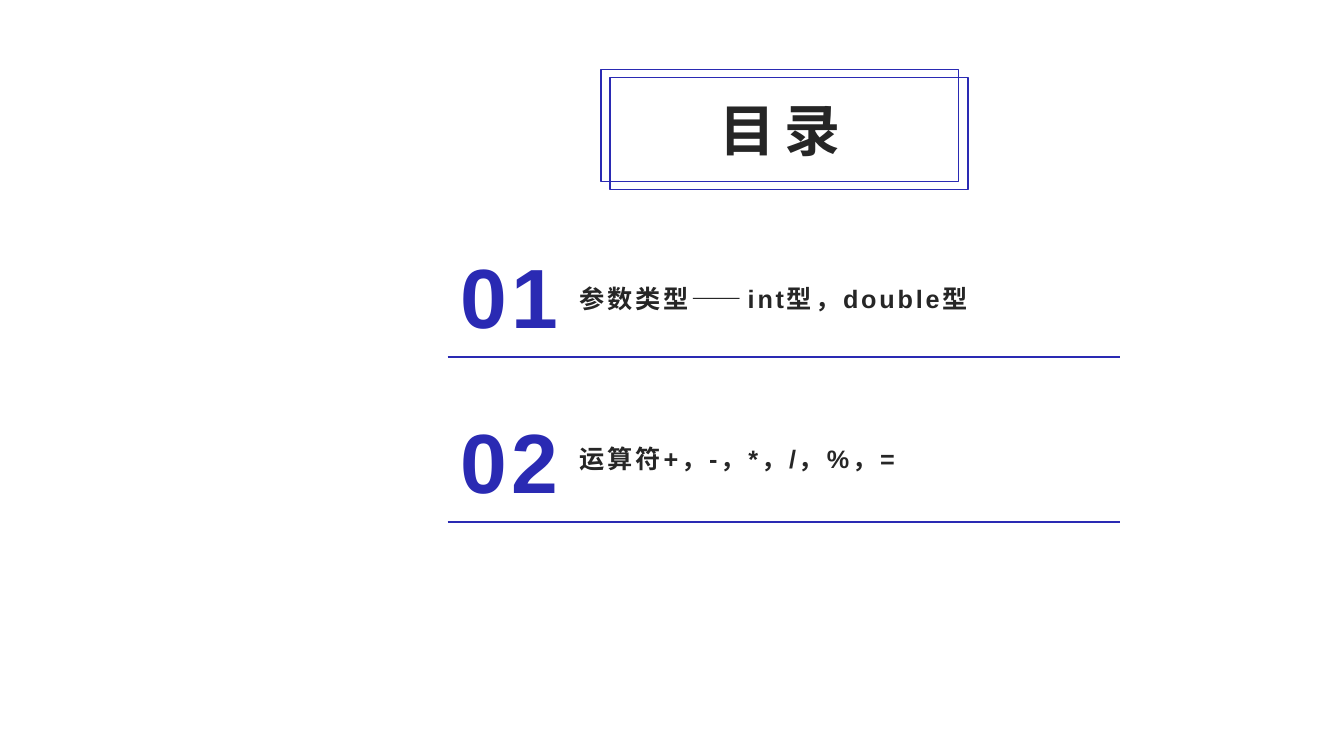
from lxml.etree import SubElement
from pptx import Presentation
from pptx.dml.color import RGBColor
from pptx.enum.shapes import MSO_CONNECTOR as Conn, MSO_SHAPE as Shape
from pptx.enum.text import MSO_ANCHOR as Anchor, PP_ALIGN as Align
from pptx.oxml.ns import qn
from pptx.util import Inches, Pt

BLUE = RGBColor(0x2A, 0x2A, 0xB3)
DARK = RGBColor(0x26, 0x26, 0x26)

deck = Presentation()
deck.slide_width, deck.slide_height = Inches(13.33), Inches(7.5)
slide = deck.slides.add_slide(deck.slide_layouts[6])
shapes = slide.shapes


def add_text(text, box, size, color=DARK, gap=2, align=Align.LEFT,
             anchor=Anchor.MIDDLE, wrap=True, lead=1.0, foot=0.05):
    """Add bold text; box is in inches, gap is letter spacing in points."""
    frame = shapes.add_textbox(*map(Inches, box)).text_frame
    frame.word_wrap = wrap
    frame.vertical_anchor = anchor
    frame.margin_bottom = Inches(foot)
    para = frame.paragraphs[0]
    para.alignment = align
    para.line_spacing = lead
    run = para.add_run()
    run.text = text
    font = run.font
    font.name, font.size, font.bold = "Arial", Pt(size), True
    font.color.rgb = color
    run._r.get_or_add_rPr().set("spc", str(gap * 100))


# Title with two offset frames
add_text("目录", (6.51, 0.9, 2.45, 0.77), 40, gap=6, align=Align.CENTER)
for x, y in ((5.96, 0.69), (6.05, 0.77)):
    frame = shapes.add_shape(Shape.RECTANGLE, *map(Inches, (x, y, 3.55, 1.11)))
    frame.shadow.inherit = False
    frame.fill.background()
    frame.line.color.rgb = BLUE
    frame.line.width = Pt(1)

# Agenda rows: label, number and rule
LEFT, RIGHT, TOP, STEP = 4.44, 11.11, 2.37, 1.64
NUM_W, NUM_H = 1.22, 1.11
items = (
    ("参数类型——int型，double型", 0.38, 1.1),
    ("运算符+，-，*，/，%，=", 0.33, 1.2),
)
for i, (label, drop, lead) in enumerate(items):
    top = TOP + i * STEP
    add_text(label, (5.65, top + drop, 5.42, 0.36), 18,
             anchor=Anchor.BOTTOM, lead=lead, foot=0)
    add_text(f"{i + 1:02}", (LEFT, top, NUM_W, NUM_H), 60, BLUE, gap=3,
             align=Align.CENTER, wrap=False)
    y = top + 1.17
    rule = shapes.add_connector(Conn.STRAIGHT, *map(Inches, (LEFT, y, RIGHT, y)))
    rule.line.color.rgb = BLUE
    rule.line.width = Pt(1.5)
    SubElement(rule._element.spPr, qn("a:effectLst"))

deck.save("out.pptx")
